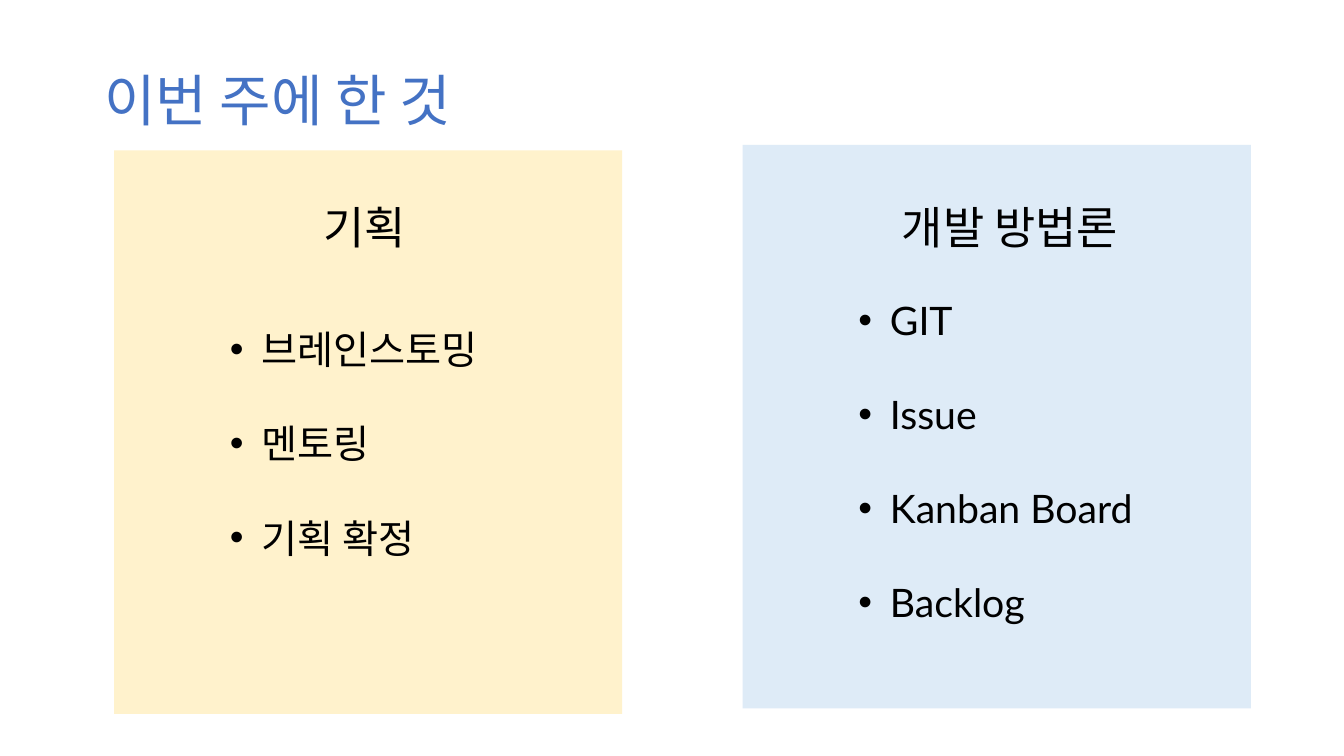
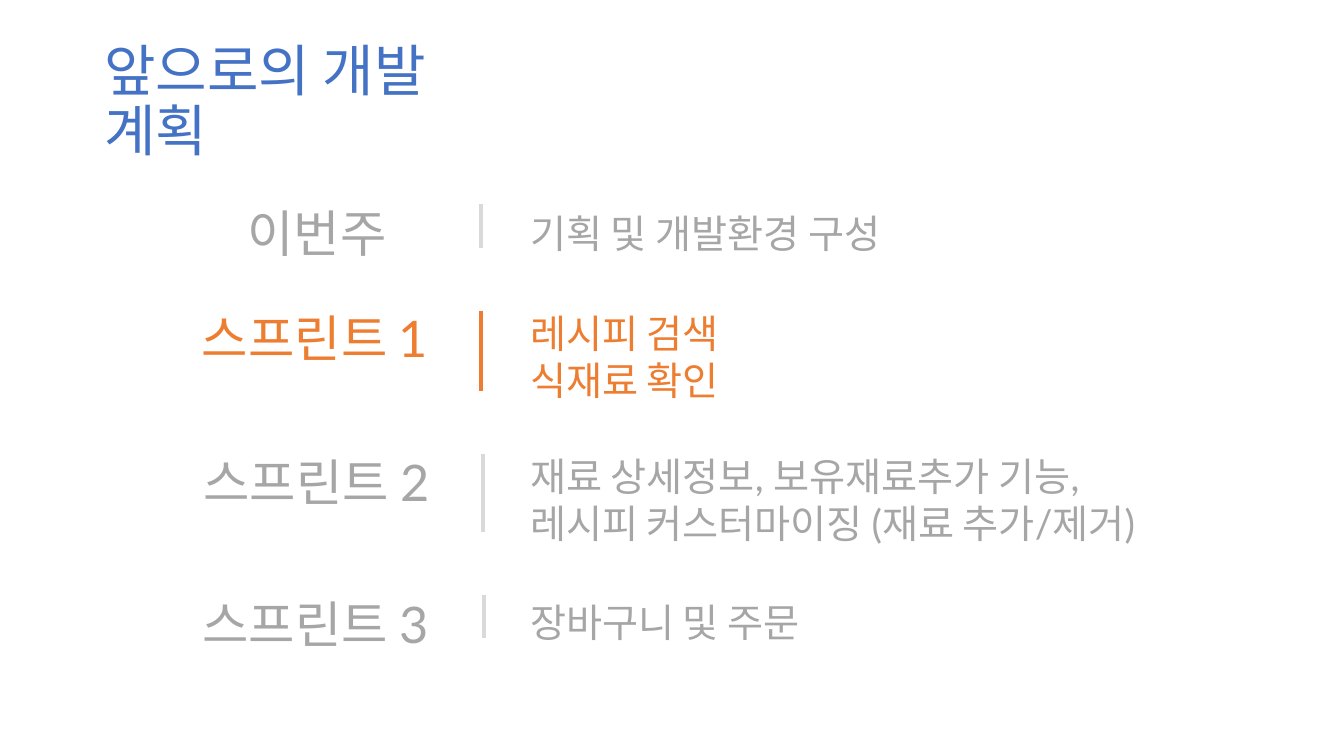
import pptx
import pptx.dml.color
import pptx.enum.shapes
import pptx.enum.text
import pptx.oxml.ns
import pptx.util
from lxml import etree

Pt = pptx.util.Pt
PP_ALIGN = pptx.enum.text.PP_ALIGN
ANCHOR = pptx.enum.text.MSO_ANCHOR

# Shared style
BLACK, BLUE, ORANGE = "000000", "4472C4", "ED7D31"
GREY, PALE_GREY = "A6A6A6", "D9D9D9"
TITLE_FONT, TEXT_FONT = "Arial", "Lato"
TITLE_BOX = (67.5, 42, 313, 64)
COMPARISON, TITLE_ONLY = 4, 5
PANEL_SIZE = (363, 402.5)
LIST_GAP, LIST_INDENT = 33.6, 22.5
DETAIL_LEFT = 371.5

# Content: all boxes are left, top, width, height
WEEK_TITLE = "이번 주에 한 것"
PANELS = [
    {"heading": "기획", "heading_box": (224, 139, 76, 46),
     "items": ["브레인스토밍", "멘토링", "기획 확정"],
     "list_box": (157, 229, 211, 177),
     "corner": (81.5, 107.5), "fill": "FFF2CC"},
    {"heading": "개발 방법론", "heading_box": (637, 139, 180, 46),
     "items": ["GIT", "Issue", "Kanban Board", "Backlog"],
     "list_box": (606, 208, 250, 245),
     "corner": (530.5, 103.5), "fill": "DEEBF7"},
]

PLAN_TITLE = "앞으로의 개발 계획"
# label, (left, top, width), details, (top, width), bar (x, top, bottom), current
SPRINTS = [
    ("이번주", (167, 141, 119), ["기획 및 개발환경 구성"],
     (146, 286), (343.5, 146, 177), False),
    ("스프린트 1", (134.5, 216, 181), ["레시피 검색", "식재료 확인"],
     (217.5, 159), (343.5, 222.5, 279.5), True),
    ("스프린트 2", (132, 319, 188),
     ["재료 상세정보, 보유재료추가 기능,", "레시피 커스터마이징 (재료 추가/제거)"],
     (319.5, 480), (345, 324, 380), False),
    ("스프린트 3", (131, 420, 188.5), ["장바구니 및 주문"],
     (423.5, 222.5), (345.5, 425, 456), False),
]


def color(code):
    return pptx.dml.color.RGBColor.from_string(code)


def place(shape, box):
    shape.left, shape.top, shape.width, shape.height = map(Pt, box)


def write(shape, lines, size, ink, font=TEXT_FONT, align=PP_ALIGN.LEFT,
          anchor=ANCHOR.TOP, spacing=1.0, gap=0, indent=0):
    frame = shape.text_frame
    frame.word_wrap = True
    frame.auto_size = pptx.enum.text.MSO_AUTO_SIZE.NONE
    frame.vertical_anchor = anchor
    for number, line in enumerate(lines):
        para = frame.add_paragraph() if number else frame.paragraphs[0]
        para.text = line
        para.alignment = align
        para.line_spacing = spacing
        para.space_before = Pt(gap if number else 0)
        para.space_after = Pt(0)
        if indent:
            properties = para._p.get_or_add_pPr()
            properties.set("marL", str(Pt(indent)))
            properties.set("indent", str(-Pt(indent)))
        para.font.name = font
        para.font.size = Pt(size)
        para.font.bold = False
        para.font.color.rgb = color(ink)


def add_page(deck, layout, title):
    page = deck.slides.add_slide(deck.slide_layouts[layout])
    place(page.shapes.title, TITLE_BOX)
    write(page.shapes.title, [title], 40, BLUE, TITLE_FONT,
          anchor=ANCHOR.MIDDLE, spacing=0.9)
    return page


def add_text(page, box, lines, size, ink, align=PP_ALIGN.LEFT):
    shape = page.shapes.add_textbox(*map(Pt, box))
    write(shape, lines, size, ink, align=align)


def add_panel(page, corner, fill):
    panel = page.shapes.add_shape(
        pptx.enum.shapes.MSO_SHAPE.RECTANGLE, *map(Pt, corner + PANEL_SIZE))
    panel.shadow.inherit = False
    panel.fill.solid()
    panel.fill.fore_color.rgb = color(fill)
    panel.line.fill.background()
    # Behind the placeholders, after the two group property elements
    page.shapes.element.insert(2, panel.element)


def add_bar(page, x, top, bottom, ink):
    bar = page.shapes.add_connector(
        pptx.enum.shapes.MSO_CONNECTOR.STRAIGHT,
        Pt(x), Pt(top), Pt(x), Pt(bottom))
    bar.line.color.rgb = color(ink)
    bar.line.width = Pt(3)
    etree.SubElement(bar.element.spPr, pptx.oxml.ns.qn("a:effectLst"))


def build_week(deck):
    page = add_page(deck, COMPARISON, WEEK_TITLE)
    holders = {holder.placeholder_format.idx: holder
               for holder in page.placeholders}
    for number, panel in enumerate(PANELS):
        heading, items = holders[2 * number + 1], holders[2 * number + 2]
        add_panel(page, panel["corner"], panel["fill"])
        place(heading, panel["heading_box"])
        write(heading, [panel["heading"]], 32, BLACK)
        place(items, panel["list_box"])
        write(items, panel["items"], 28, BLACK,
              gap=LIST_GAP, indent=LIST_INDENT)


def build_plan(deck):
    page = add_page(deck, TITLE_ONLY, PLAN_TITLE)
    for label, label_box, details, (top, width), bar, current in SPRINTS:
        ink = ORANGE if current else GREY
        add_text(page, label_box + (51,), [label], 36, ink, PP_ALIGN.CENTER)
        height = 7.2 + 33.8 * len(details)
        add_text(page, (DETAIL_LEFT, top, width, height), details, 28, ink)
        add_bar(page, *bar, ORANGE if current else PALE_GREY)


def main():
    deck = pptx.Presentation()
    deck.slide_width, deck.slide_height = Pt(960), Pt(540)
    build_week(deck)
    build_plan(deck)
    deck.save("out.pptx")


if __name__ == "__main__":
    main()
